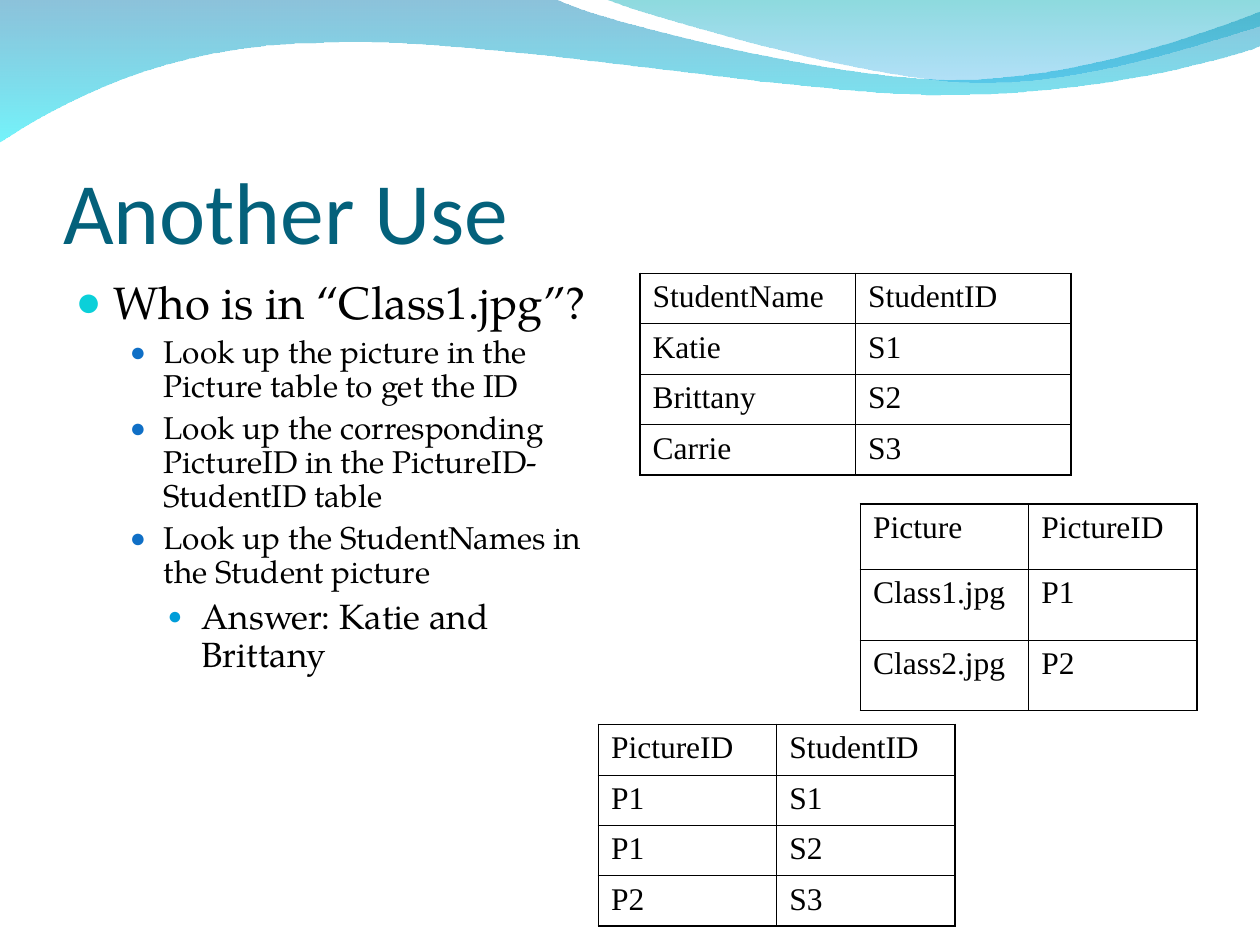
"""Build the "Another Use" slide: a lookup across three linked tables."""
from lxml.etree import Element, SubElement
from pptx import Presentation
from pptx.dml.color import RGBColor
from pptx.enum.text import MSO_ANCHOR, MSO_AUTO_SIZE, PP_ALIGN
from pptx.oxml.ns import qn
from pptx.util import Inches, Pt

HUES = {"title": "04617B", "text": "000000", "deep": "0079AF", "cyan": "00EBF8",
        "teal": "00ADB6", "sky": "009BE5", "mint": "0BD0D9", "blue": "0F6FC6",
        "azure": "009DD9"}


def style(font, face, size, hue):
    font.name, font.size, font.bold = face, Pt(size), False
    font.color.rgb = RGBColor.from_string(HUES[hue])


deck = Presentation()
deck.slide_width, deck.slide_height = Inches(10), Inches(7.5)
slide = deck.slides.add_slide(deck.slide_layouts[1])
title, body = slide.placeholders

waves = [
    ([(0, -1), (440, -1), (476, 17, 664, 63, 758, 63), (853, 63, 958, 26, 1000, 9),
      (1001, 36), (983, 44, 870, 76, 746, 75), (622, 75, 382, 28, 257, 34),
      (129, 35, 46, 83, -1, 113)],
     [("deep", 45), ("cyan", 55)]),
    ([(479, -1), (509, 11, 682, 62, 769, 65), (856, 69, 961, 32, 1000, 21), (1000, 0)],
     [("teal", 45), ("sky", 30)]),
]
for parts, tones in waves:
    ends = [part[-2:] for part in parts]
    left, top = map(min, zip(*ends))
    pen = slide.shapes.build_freeform(*ends[0], scale=Inches(0.01))
    pen.add_line_segments(ends[1:], close=True)
    wave = pen.convert_to_shape()
    for node, part in zip(list(wave.element.iter(qn("a:lnTo"))), parts[1:]):
        if len(part) == 6:
            curve = Element(qn("a:cubicBezTo"))
            for x, y in zip(part[::2], part[1::2]):
                SubElement(curve, qn("a:pt"), x=str(x - left), y=str(y - top))
            node.getparent().replace(node, curve)
    wave.shadow.inherit = False
    wave.line.fill.background()
    wave.fill.gradient()
    wave.fill.gradient_angle = 270
    for stop, (hue, alpha) in zip(wave.fill.gradient_stops, tones):
        stop.color.rgb = RGBColor.from_string(HUES[hue])
    for tone, (hue, alpha) in zip(wave.element.spPr.iter(qn("a:srgbClr")), tones):
        SubElement(tone, qn("a:alpha"), val=str(alpha * 1000))
    title.element.addprevious(wave.element)

title.left, title.top, title.width, title.height = map(Inches, (0.5, 0.83, 9, 1.25))
frame = title.text_frame
frame.auto_size, frame.word_wrap = MSO_AUTO_SIZE.NONE, True
frame.vertical_anchor = MSO_ANCHOR.BOTTOM
frame.margin_left = frame.margin_right = frame.margin_bottom = 0
frame.margin_top = Inches(0.05)
line = frame.paragraphs[0]
line.alignment = PP_ALIGN.LEFT
run = line.add_run()
run.text = "Another Use"
style(run.font, "Calibri", 50, "title")

body.left, body.top, body.width, body.height = map(Inches, (0.5, 2.17, 4.42, 4.25))
frame = body.text_frame
frame.auto_size, frame.word_wrap = MSO_AUTO_SIZE.NONE, True
levels = [(0.3, 0.3, 26, 0, "mint", 95), (0.7, 0.27, 18, 4.5, "blue", 85),
          (1, 0.27, 20, 5, "azure", 70)]
items = [
    (0, "Who is in “Class1.jpg”?"),
    (1, "Look up the picture in the Picture table to get the ID"),
    (1, "Look up the corresponding PictureID in the PictureID-StudentID table"),
    (1, "Look up the StudentNames in the Student picture"),
    (2, "Answer: Katie and Brittany"),
]
for spot, (level, words) in enumerate(items):
    left, hang, size, gap, hue, scale = levels[level]
    line = frame.add_paragraph() if spot else frame.paragraphs[0]
    line.level = level
    props = line._p.get_or_add_pPr()
    props.set("marL", str(Inches(left)))
    props.set("indent", str(-Inches(hang)))
    SubElement(SubElement(props, qn("a:buClr")), qn("a:srgbClr"), val=HUES[hue])
    SubElement(props, qn("a:buSzPct"), val=str(scale * 1000))
    SubElement(props, qn("a:buChar"), char="●")
    line.line_spacing, line.space_before = 0.9, Pt(gap)
    run = line.add_run()
    run.text = words
    style(run.font, "TeX Gyre Pagella", size, "text")

tables = [
    (6.83, 4, 2.67, [0.52, 0.56, 0.56],
     [("Picture", "PictureID"), ("Class1.jpg", "P1"), ("Class2.jpg", "P2")]),
    (5.08, 2.17, 3.42, [0.4] * 4,
     [("StudentName", "StudentID"), ("Katie", "S1"), ("Brittany", "S2"), ("Carrie", "S3")]),
    (4.75, 5.75, 2.83, [0.4] * 4,
     [("PictureID", "StudentID"), ("P1", "S1"), ("P1", "S2"), ("P2", "S3")]),
]
for left, top, width, heights, rows in tables:
    grid = slide.shapes.add_table(len(rows), 2, Inches(left), Inches(top), Inches(width),
                                  Inches(sum(heights))).table
    grid.first_row = grid.horz_banding = False
    for r, (height, row) in enumerate(zip(heights, rows)):
        grid.rows[r].height = Inches(height)
        for c, words in enumerate(row):
            cell = grid.cell(r, c)
            props = cell._tc.get_or_add_tcPr()
            outer = {"L": c == 0, "R": c == 1, "T": r == 0, "B": r == len(rows) - 1}
            for side, edge in outer.items():
                rule = SubElement(props, qn("a:ln" + side), w=str(Pt(1.08 if edge else 0.45)))
                SubElement(SubElement(rule, qn("a:solidFill")), qn("a:srgbClr"), val=HUES["text"])
            cell.fill.background()
            run = cell.text_frame.paragraphs[0].add_run()
            run.text = words
            style(run.font, "Times New Roman", 18, "text")

deck.save("out.pptx")
